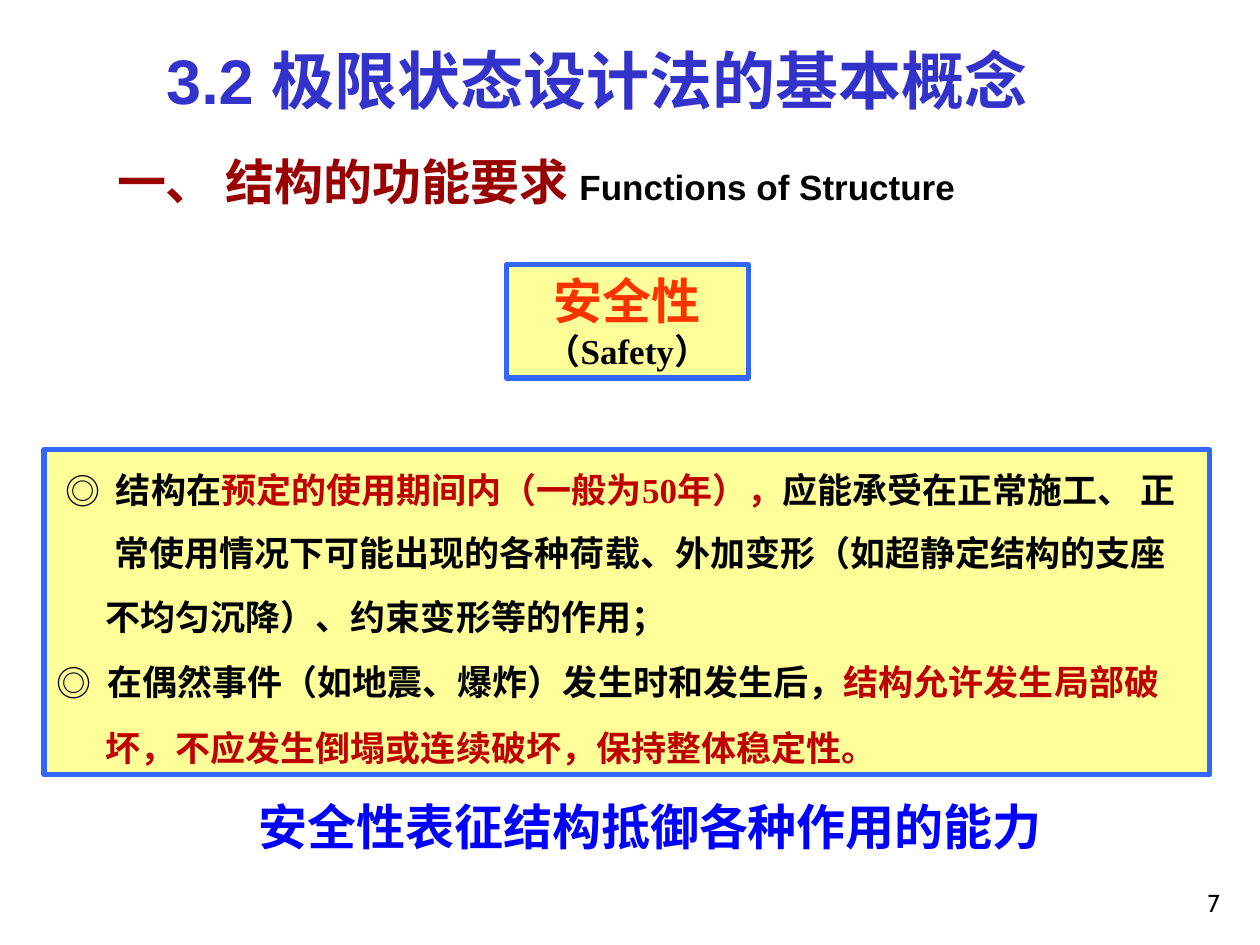
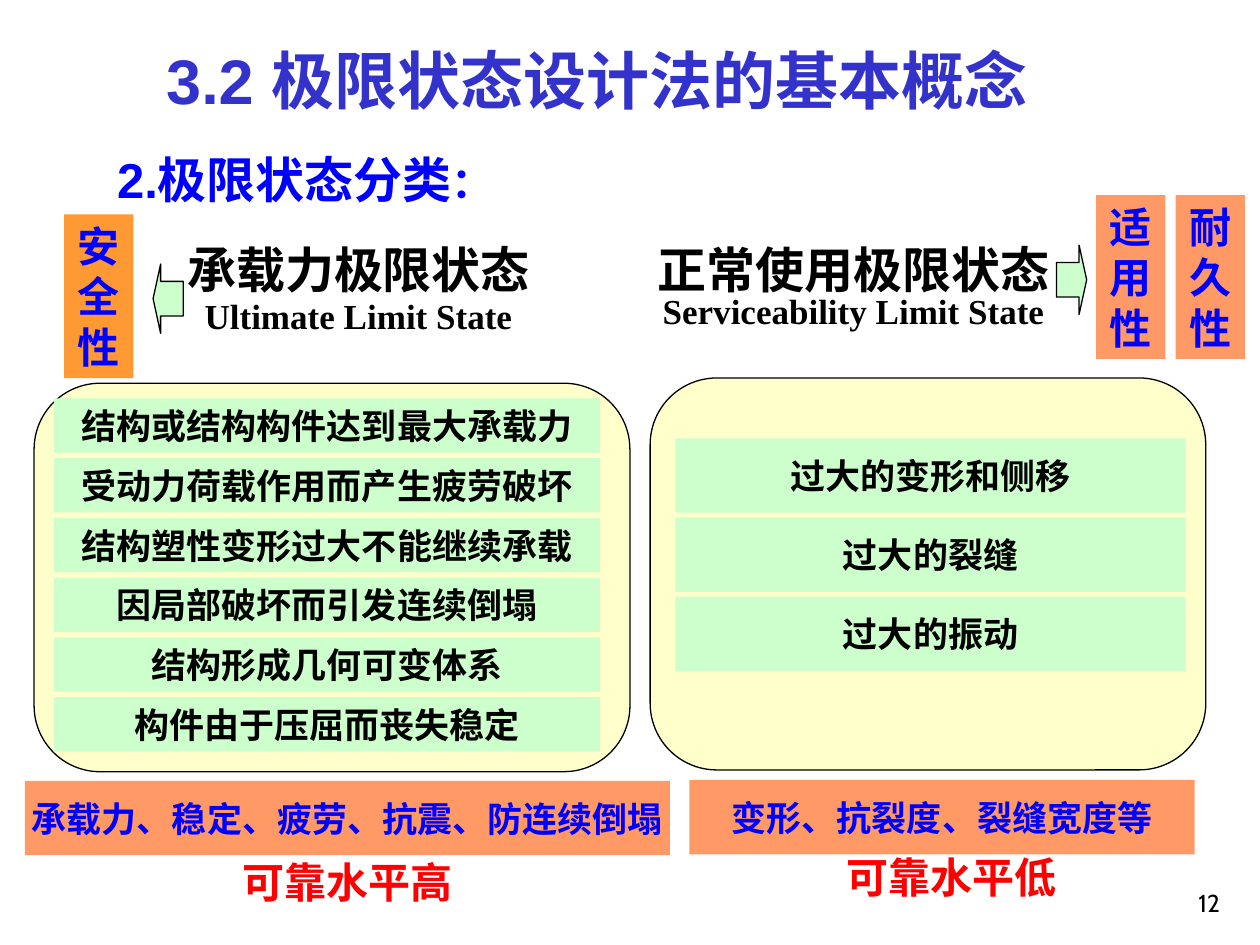
from lxml.etree import SubElement
from pptx import Presentation
from pptx.dml.color import RGBColor
from pptx.enum.shapes import MSO_SHAPE as Shape
from pptx.enum.text import MSO_ANCHOR as Anchor, MSO_AUTO_SIZE as AutoSize, PP_ALIGN as Align
from pptx.oxml.ns import qn
from pptx.util import Pt

SECTION = "3.2 极限状态设计法的基本概念"
SANS, SERIF, BODY, CJK = "Arial", "Times New Roman", "Cabin", "Noto Sans CJK SC"
BLACK, BLUE, NAVY, MAROON = "000000", "0000FF", "3333CC", "990000"
RED, CRIMSON, VERMILION = "FF0000", "C00000", "FF3300"
YELLOW, CREAM, MINT, FRAME = "FFFF99", "FFFFCC", "CCFFCC", "3366FF"
SALMON, ORANGE = "FF9966", "FF9933"

FUNCTIONS_HEADING = [
    ("一、 结构的功能要求 ", dict(size=28, color=MAROON, name=CJK)),
    ("Functions of Structure", dict(size=20, color=BLACK, name=SANS)),
]
SAFETY = [
    [("安全性", dict(size=28, color=VERMILION))],
    [("（Safety）", dict(size=20, color=BLACK))],
]
# text indent, bullet position (None for a continued line), space before, runs
REQUIREMENTS = [
    (34, 5, 0, [("结构在", BLACK), ("预定的使用期间内（一般为50年），", CRIMSON),
                ("应能承受在正常施工、 正", BLACK)]),
    (33, None, 5, [("常使用情况下可能出现的各种荷载、外加变形（如超静定结构的支座", BLACK)]),
    (28, None, 5, [("不均匀沉降）、约束变形等的作用；", BLACK)]),
    (29, 0, 6.2, [("在偶然事件（如地震、爆炸）发生时和发生后，", BLACK),
                  ("结构允许发生局部破", CRIMSON)]),
    (28, None, 6.2, [("坏，不应发生倒塌或连续破坏，保持整体稳定性。", CRIMSON)]),
]
SAFETY_MEANING = "安全性表征结构抵御各种作用的能力"

STATES_HEADING = [("2.极限状态分类", dict(size=28)), ("：", dict(size=24))]
STATES = [
    dict(name="承载力极限状态", english="Ultimate Limit State", gap=3,
         name_box=(78.5, 139.7, 252.7, 57), panel=(19.5, 219, 340.5, 222),
         causes=["结构或结构构件达到最大承载力", "受动力荷载作用而产生疲劳破坏",
                 "结构塑性变形过大不能继续承载", "因局部破坏而引发连续倒塌",
                 "结构形成几何可变体系", "构件由于压屈而丧失稳定"],
         first_cause=(31, 227.7, 311.8, 31), pitch=34.13, cause_font=CJK,
         checks="承载力、稳定、疲劳、抗震、防连续倒塌", checks_box=(14.2, 446.2, 368.6, 42.5),
         level="可靠水平高", level_box=(42.5, 482.4, 311.8, 42.5),
         arrow=(Shape.LEFT_ARROW, 87.5, 150.9)),
    dict(name="正常使用极限状态", english="Serviceability Limit State", gap=0,
         name_box=(337.7, 139.7, 300.2, 54), panel=(371.5, 216, 317.5, 224),
         causes=["过大的变形和侧移", "过大的裂缝", "过大的振动"],
         first_cause=(386, 250.5, 291.6, 42.5), pitch=45.2, cause_font=SANS,
         checks="变形、抗裂度、裂缝宽度等", checks_box=(394, 445.7, 288.7, 42.5),
         level="可靠水平低", level_box=(388.1, 479.5, 311.8, 42.5),
         arrow=(Shape.RIGHT_ARROW, 603.7, 140.1)),
]
QUALITIES = [("安全性", 36.7, 122.5, ORANGE), ("适用性", 626.4, 111.5, SALMON),
             ("耐久性", 671.8, 111.5, SALMON)]


def rgb(hex_color):
    return RGBColor.from_string(hex_color)


def set_font(font, size=None, color=None, name=None):
    font.bold = True
    if size:
        font.size = Pt(size)
    if color:
        font.color.rgb = rgb(color)
    if name:
        font.name = name
        SubElement(font._rPr, qn("a:ea"), typeface=BODY)


def write(owner, paragraphs, align=Align.CENTER, anchor=Anchor.TOP, wrap=True,
          spacing=None, **style):
    """Fill a shape with paragraphs, each a string or a list of (text, style) runs."""
    frame = owner.text_frame
    frame.auto_size = AutoSize.NONE
    frame.word_wrap = wrap
    frame.vertical_anchor = anchor
    frame.margin_left = frame.margin_right = Pt(7.2)
    frame.margin_top = frame.margin_bottom = Pt(3.6)
    for index, content in enumerate(paragraphs):
        paragraph = frame.add_paragraph() if index else frame.paragraphs[0]
        paragraph.alignment = align
        if spacing:
            paragraph.line_spacing = spacing
        runs = [(content, {})] if isinstance(content, str) else content
        shared = dict(style, **runs[0][1]) if len(runs) == 1 else style
        for text, own in runs:
            run = paragraph.add_run()
            run.text = text
            if len(runs) > 1:
                set_font(run.font, **own)
        set_font(paragraph.font, **shared)
    return frame


def add_text(slide, box, paragraphs, **options):
    return write(slide.shapes.add_textbox(*map(Pt, box)), paragraphs, **options)


def add_block(slide, kind, box, fill, line=None, width=0.75):
    block = slide.shapes.add_shape(kind, *map(Pt, box))
    block.shadow.inherit = False
    block.fill.solid()
    block.fill.fore_color.rgb = rgb(fill)
    if line:
        block.line.color.rgb = rgb(line)
        block.line.width = Pt(width)
    else:
        block.line.fill.background()
    return block


def start_slide(deck, number):
    slide = deck.slides.add_slide(deck.slide_layouts[5])
    title = slide.shapes.title
    title.left, title.top, title.width, title.height = map(Pt, (87.8, 20.2, 601.2, 50.4))
    write(title, [SECTION], align=Align.LEFT, size=36, color=NAVY, name=SANS)
    page = add_text(slide, (554.4, 491.8, 149.8, 36), [number], align=Align.RIGHT,
                    anchor=Anchor.BOTTOM, size=14, color=BLACK, name=BODY)
    page.paragraphs[0].font.bold = False
    return slide


def build_functions(deck):
    slide = start_slide(deck, "7")
    add_text(slide, (59.8, 82.8, 544.3, 41), [FUNCTIONS_HEADING], align=Align.LEFT)
    safety = add_block(slide, Shape.RECTANGLE, (289.4, 151.2, 138.2, 64.8), YELLOW, FRAME, 3)
    write(safety, SAFETY, name=SERIF)

    box = add_block(slide, Shape.RECTANGLE, (25.2, 257, 666, 185.8), YELLOW, FRAME, 3)
    frame = box.text_frame
    for index, (indent, bullet, before, runs) in enumerate(REQUIREMENTS):
        paragraph = frame.paragraphs[0] if index == 0 else frame.add_paragraph()
        paragraph.alignment = Align.JUSTIFY
        paragraph.line_spacing = 1.3
        paragraph.space_before = Pt(before)
        properties = paragraph._p.get_or_add_pPr()
        properties.set("marL", str(Pt(indent)))
        if bullet is not None:
            properties.set("indent", str(Pt(bullet - indent)))
            SubElement(properties, qn("a:buFont"), typeface=CJK)
            SubElement(properties, qn("a:buChar"), char="◎")
        for text, color in runs:
            run = paragraph.add_run()
            run.text = text
            set_font(run.font, color=color)
        set_font(paragraph.font, size=20, name=SERIF)
    frame.word_wrap = True
    frame.vertical_anchor = Anchor.TOP
    frame.margin_left, frame.margin_right = Pt(7.2), Pt(3)
    frame.margin_top = frame.margin_bottom = Pt(3.6)

    add_text(slide, (54, 451.4, 635, 41), [SAFETY_MEANING], size=28, color=BLUE, name=SANS)


def build_states(deck):
    slide = start_slide(deck, "12")
    add_text(slide, (59.8, 82.1, 359.3, 41), [STATES_HEADING], align=Align.LEFT,
             color=BLUE, name=SANS)
    for text, left, top, fill in QUALITIES:
        quality = add_block(slide, Shape.RECTANGLE, (left, top, 39.6, 93.6), fill)
        write(quality, [text], size=24, color=BLUE, name=SANS)
    for state in STATES:
        panel = add_block(slide, Shape.ROUNDED_RECTANGLE, state["panel"], CREAM, BLACK)
        panel.adjustments[0] = 0.17
        heading = [[(state["name"], dict(size=28))], [(state["english"], dict(size=20))]]
        name = add_text(slide, state["name_box"], heading, spacing=0.8, color=BLACK, name=SERIF)
        name.paragraphs[1].space_before = Pt(state["gap"])

        left, top, width, height = state["first_cause"]
        for row, cause in enumerate(state["causes"]):
            place = (left, top + row * state["pitch"], width, height)
            write(add_block(slide, Shape.RECTANGLE, place, MINT), [cause], wrap=False,
                  anchor=Anchor.MIDDLE, size=20, color=BLACK, name=state["cause_font"])

        checks = add_block(slide, Shape.RECTANGLE, state["checks_box"], SALMON)
        write(checks, [state["checks"]], wrap=False, anchor=Anchor.MIDDLE,
              size=20, color=BLUE, name=SANS)
        add_text(slide, state["level_box"], [state["level"]], anchor=Anchor.MIDDLE,
                 size=24, color=RED, name=SANS)
        direction, left, top = state["arrow"]
        arrow = add_block(slide, direction, (left, top, 17.3, 39.6), MINT, BLACK)
        arrow.adjustments[1] = 0.25


def main():
    deck = Presentation()
    deck.slide_width, deck.slide_height = Pt(720), Pt(540)
    build_functions(deck)
    build_states(deck)
    deck.save("out.pptx")


if __name__ == "__main__":
    main()
